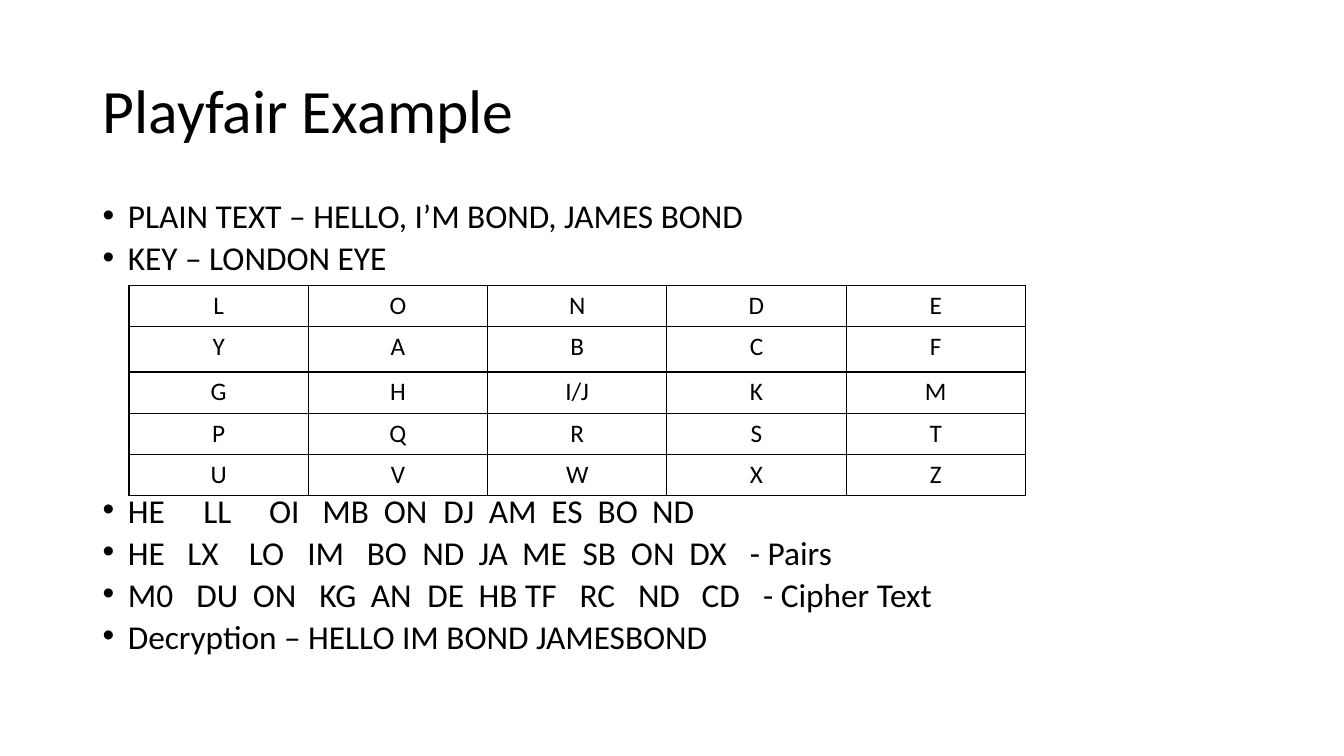
from lxml import etree
from pptx import Presentation
from pptx import util as u
from pptx.dml.color import RGBColor
from pptx.enum import text as t
from pptx.oxml import ns

FONT = "Calibri"
BLACK = "000000"
INDENT = 0.25
PLAIN_LINES = [
    ("PLAIN TEXT – HELLO, I’M BOND, JAMES BOND", []),
    ("KEY – LONDON EYE", []),
]
KEY_SQUARE = ["L O N D E", "Y A B C F", "G H I/J K M", "P Q R S T", "U V W X Z"]
ROW_HEIGHTS = [0.41, 0.45, 0.41, 0.41, 0.41]
# Each line carries the tab stops of its letter pairs, in inches
CIPHER_LINES = [
    ("HE\tLL\tOI\tMB\tON\tDJ\tAM\tES\tBO\tND",
     [1, 1.65, 2.18, 2.79, 3.38, 3.83, 4.45, 4.91, 5.45]),
    ("HE\tLX\tLO\tIM\tBO\tND\tJA\tME\tSB\tON\tDX\t- Pairs",
     [0.84, 1.45, 2.03, 2.62, 3.17, 3.73, 4.16, 4.76, 5.24, 5.82, 6.42]),
    ("M0\tDU\tON\tKG\tAN\tDE\tHB TF\tRC\tND\tCD\t- Cipher Text",
     [0.93, 1.49, 2.15, 2.66, 3.22, 3.73, 4.73, 5.31, 5.94, 6.55]),
    ("Decryption – HELLO IM BOND JAMESBOND", []),
]


def color(value):
    return RGBColor.from_string(value)


def add_xml(parent, tag, **attributes):
    element = etree.SubElement(parent, ns.qn(tag))
    for name, value in attributes.items():
        element.set(name, str(value))
    return element


def write(paragraph, text, size, align=t.PP_ALIGN.LEFT, spacing=1.0, before=0):
    paragraph.alignment = align
    paragraph.line_spacing = spacing
    paragraph.space_before = u.Pt(before)
    run = paragraph.add_run()
    run.text = text
    run.font.name = FONT
    run.font.size = u.Pt(size)
    run.font.color.rgb = color(BLACK)


def add_bullet(paragraph, stops):
    properties = paragraph._p.get_or_add_pPr()
    properties.set("marL", str(u.Inches(INDENT)))
    properties.set("indent", str(-u.Inches(INDENT)))
    add_xml(properties, "a:buFont", typeface="Arial")
    add_xml(properties, "a:buChar", char="•")
    if stops:
        tabs = add_xml(properties, "a:tabLst")
        for stop in stops:
            add_xml(tabs, "a:tab", pos=u.Inches(stop), algn="l")


def add_title(slide, left, top, width, height):
    title = slide.shapes.title
    title.left, title.top = u.Inches(left), u.Inches(top)
    title.width, title.height = u.Inches(width), u.Inches(height)
    frame = title.text_frame
    frame.auto_size = t.MSO_AUTO_SIZE.NONE
    frame.vertical_anchor = t.MSO_ANCHOR.MIDDLE
    write(frame.paragraphs[0], "Playfair Example", 44, spacing=0.9)


def add_bullets(slide, lines, left, top, width, height):
    box = slide.shapes.add_textbox(*map(u.Inches, (left, top, width, height)))
    frame = box.text_frame
    frame.word_wrap = True
    for index, (text, stops) in enumerate(lines):
        paragraph = frame.add_paragraph() if index else frame.paragraphs[0]
        add_bullet(paragraph, stops)
        write(paragraph, text, 23.8, spacing=0.7, before=10 if index else 0)


def add_borders(cell):
    properties = cell._tc.get_or_add_tcPr()
    for side in ("a:lnL", "a:lnR", "a:lnT", "a:lnB"):
        line = add_xml(properties, side, w=u.Pt(1))
        add_xml(add_xml(line, "a:solidFill"), "a:srgbClr", val=BLACK)


def add_key_square(slide, left, top, width, height):
    rows = [row.split() for row in KEY_SQUARE]
    frame = slide.shapes.add_table(len(rows), len(rows[0]),
                                   *map(u.Inches, (left, top, width, height)))
    table = frame.table
    table.first_row = table.horz_banding = False
    for row, letters, row_height in zip(table.rows, rows, ROW_HEIGHTS):
        row.height = u.Inches(row_height)
        for cell, letter in zip(row.cells, letters):
            add_borders(cell)
            cell.fill.background()
            write(cell.text_frame.paragraphs[0], letter, 18, align=t.PP_ALIGN.CENTER)


def main():
    presentation = Presentation()
    presentation.slide_width = u.Inches(13.33)
    presentation.slide_height = u.Inches(7.5)
    slide = presentation.slides.add_slide(presentation.slide_layouts[5])
    left, width = 0.92, 11.5
    add_title(slide, left, 0.4, width, 1.45)
    add_bullets(slide, PLAIN_LINES, left, 2, width, 0.8)
    add_bullets(slide, CIPHER_LINES, left, 4.92, width, 1.84)
    add_key_square(slide, 1.28, 2.83, 8.89, sum(ROW_HEIGHTS))
    presentation.save("out.pptx")


if __name__ == "__main__":
    main()
